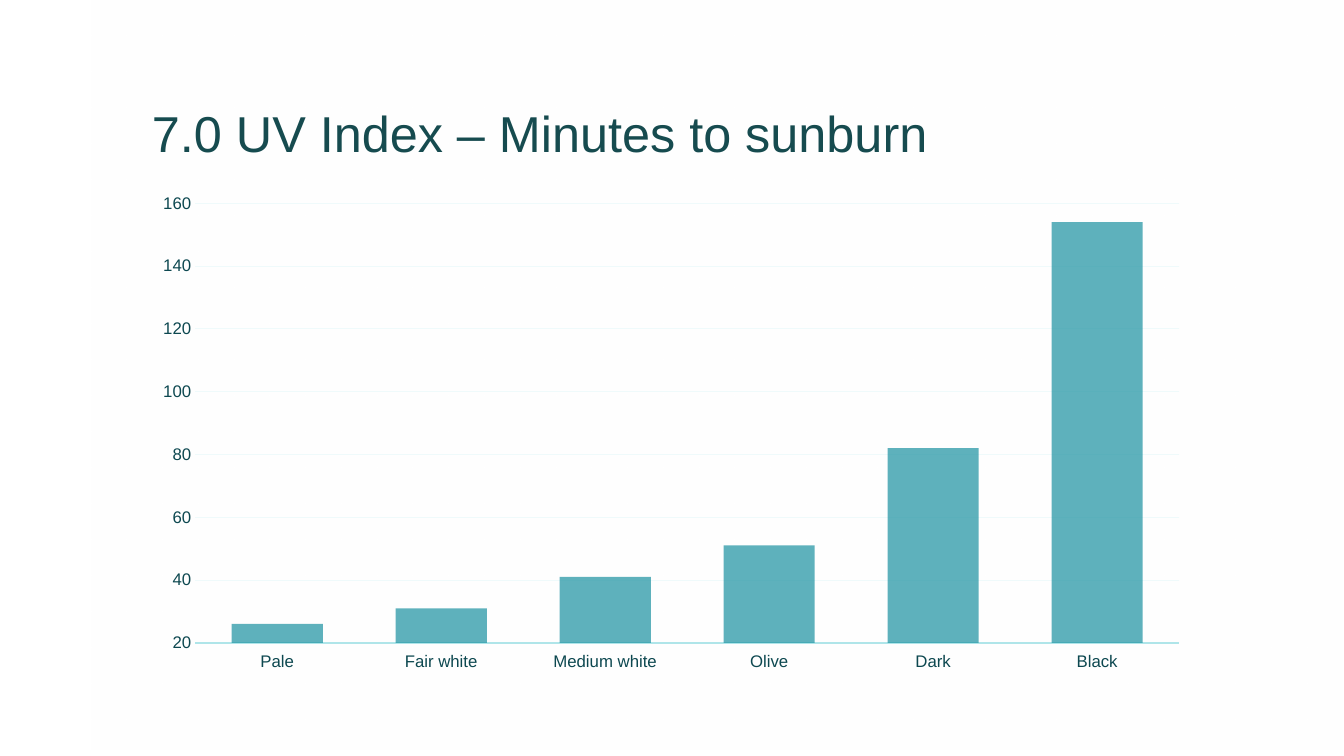
"""Builds a slide charting minutes to sunburn by skin tone."""
from lxml.etree import SubElement
from pptx import Presentation
from pptx.chart.data import CategoryChartData
from pptx.dml.color import RGBColor
from pptx.enum.chart import XL_CHART_TYPE as ChartType
from pptx.enum.chart import XL_TICK_LABEL_POSITION as LabelPosition
from pptx.enum.chart import XL_TICK_MARK as TickMark
from pptx.enum.shapes import MSO_SHAPE as Shape
from pptx.enum.text import MSO_ANCHOR as Anchor
from pptx.oxml.ns import qn
from pptx.util import Cm, Pt

WHITE = RGBColor(0xFF, 0xFF, 0xFF)
TITLE_TEAL = RGBColor(0x16, 0x4B, 0x4F)
LABEL_TEAL = RGBColor(0x0D, 0x48, 0x50)
BAR_TEAL = RGBColor(0x1B, 0x91, 0xA1)
AXIS_AQUA = RGBColor(0xAF, 0xE5, 0xE9)
GRID_AQUA = RGBColor(0xEF, 0xFA, 0xFB)

MINUTES_TO_SUNBURN = {
    "Pale": 26,
    "Fair white": 31,
    "Medium white": 41,
    "Olive": 51,
    "Dark": 82,
    "Black": 154,
}


def apply(target, values):
    for attribute, value in values.items():
        setattr(target, attribute, value)


def set_opacity(element, *percents):
    for color, percent in zip(element.iter(qn("a:srgbClr")), percents):
        SubElement(color, qn("a:alpha"), val=str(percent * 1000))


class SlideBuilder:
    def __init__(self, deck, typeface):
        self.typeface = typeface
        self.slide = deck.slides.add_slide(deck.slide_layouts[6])

    def style_font(self, font, size, color):
        apply(font, {"name": self.typeface, "size": Pt(size), "bold": False})
        font.color.rgb = color

    def style_line(self, line, color, width):
        line.color.rgb = color
        line.width = Pt(width)

    def panel(self, *box):
        veil = self.slide.shapes.add_shape(Shape.RECTANGLE, *map(Cm, box))
        veil.shadow.inherit = False
        veil.line.fill.background()
        veil.fill.gradient()
        veil.fill.gradient_angle = 270
        for stop in veil.fill.gradient_stops:
            stop.color.rgb = WHITE
        set_opacity(veil.element, 60, 0)

    def title(self, wording, *box):
        heading = self.slide.shapes.add_textbox(*map(Cm, box)).text_frame
        apply(heading, {"word_wrap": True, "vertical_anchor": Anchor.BOTTOM,
                        "text": wording})
        line = heading.paragraphs[0]
        line.line_spacing = 0.9
        self.style_font(line.runs[0].font, 36, TITLE_TEAL)

    def column_chart(self, minutes, *box):
        table = CategoryChartData()
        table.categories = list(minutes)
        table.add_series("Series 1", list(minutes.values()))
        chart = self.slide.shapes.add_chart(
            ChartType.COLUMN_CLUSTERED, *map(Cm, box), table).chart
        apply(chart, {"has_legend": False, "has_title": False})
        self.style_font(chart.font, 10, TITLE_TEAL)

        columns = chart.plots[0]
        apply(columns, {"gap_width": 80, "overlap": 25, "vary_by_categories": False})
        bars = columns.series[0]
        bars.format.fill.solid()
        bars.format.fill.fore_color.rgb = BAR_TEAL
        set_opacity(bars.format.element if hasattr(bars.format, "element")
                    else bars._element, 70)

        skin_axis, minutes_axis = chart.category_axis, chart.value_axis
        for axis in (skin_axis, minutes_axis):
            apply(axis, {"major_tick_mark": TickMark.NONE,
                         "minor_tick_mark": TickMark.NONE})
            self.style_font(axis.tick_labels.font, 12, LABEL_TEAL)
        skin_axis.tick_label_position = LabelPosition.LOW
        self.style_line(skin_axis.format.line, AXIS_AQUA, 1.25)
        apply(minutes_axis, {"minimum_scale": 20, "maximum_scale": 160,
                             "major_unit": 20, "has_major_gridlines": True})
        minutes_axis.format.line.fill.background()
        self.style_line(minutes_axis.major_gridlines.format.line, GRID_AQUA, 0.75)


def main():
    deck = Presentation()
    apply(deck, {"slide_width": Cm(33.87), "slide_height": Cm(19.05)})
    sunburn = SlideBuilder(deck, "Arial")
    sunburn.panel(2.31, 0, 31.52, 19.05)
    sunburn.title("7.0 UV Index – Minutes to sunburn", 3.58, 1.07, 26.67, 3.18)
    sunburn.column_chart(MINUTES_TO_SUNBURN, 3.58, 4.65, 26.67, 12.5)
    deck.save("out.pptx")


if __name__ == "__main__":
    main()
